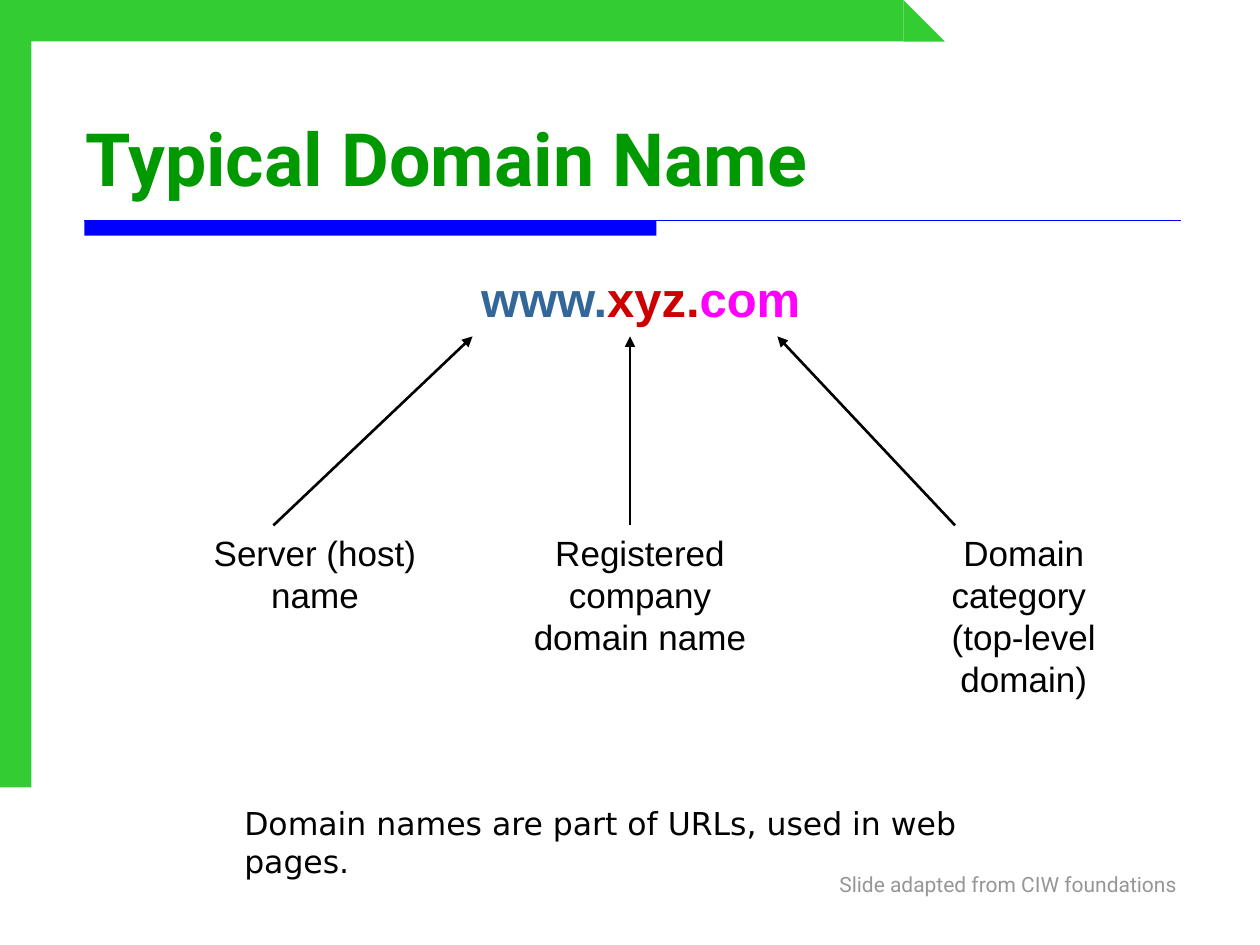
from typing import NamedTuple

from lxml import etree
from pptx import Presentation
from pptx.dml.color import RGBColor
from pptx.enum import shapes, text
from pptx.oxml import ns
from pptx.util import Inches, Pt

LIME = RGBColor(0x33, 0xCC, 0x33)
GREEN = RGBColor(0x00, 0x99, 0x00)
BLUE = RGBColor(0x00, 0x00, 0xFF)
STEEL = RGBColor(0x33, 0x66, 0x99)
RED = RGBColor(0xCC, 0x00, 0x00)
MAGENTA = RGBColor(0xFF, 0x00, 0xFF)
BLACK = RGBColor(0x00, 0x00, 0x00)
GRAY = RGBColor(0x96, 0x96, 0x96)

LABEL_TOP = 4.17
ARROW_TOP = 2.67


class Box(NamedTuple):
    left: float
    top: float
    width: float
    height: float


class Block(NamedTuple):
    preset: shapes.MSO_SHAPE
    box: Box
    color: RGBColor


class NamePart(NamedTuple):
    """One part of the domain name, its explanation and the arrow between."""
    name: str
    color: RGBColor
    label: list[str]
    label_left: float
    label_width: float
    label_height: float
    arrow_from: float
    arrow_to: float


BLOCKS = [
    Block(shapes.MSO_SHAPE.RECTANGLE, Box(0, 0, 0.25, 6.25), LIME),
    Block(shapes.MSO_SHAPE.RECTANGLE, Box(0, 0, 7.17, 0.33), LIME),
    Block(shapes.MSO_SHAPE.RIGHT_TRIANGLE, Box(7.17, 0, 0.33, 0.33), LIME),
    Block(shapes.MSO_SHAPE.RECTANGLE, Box(0.67, 1.75, 4.54, 0.12), BLUE),
]

NAME_PARTS = [
    NamePart("www.", STEEL, ["Server (host) name"], 1.5, 2, 0.77, 2.17, 3.75),
    NamePart("xyz.", RED, ["Registered company domain name"],
             4.08, 2, 1.1, 5, 5),
    NamePart("com", MAGENTA, ["Domain category ", "(top-level domain)"],
             7, 2.25, 1.44, 7.58, 6.17),
]


def inches(box: Box) -> list[int]:
    return [Inches(length) for length in box]


def set_font(font, name: str, size: float, color: RGBColor | None = None,
             bold: bool = False) -> None:
    font.name = name
    font.size = Pt(size)
    font.bold = bold
    if color is not None:
        font.color.rgb = color


def add_block(slide, block: Block) -> None:
    shape = slide.shapes.add_shape(block.preset, *inches(block.box))
    shape.shadow.inherit = False
    shape.fill.solid()
    shape.fill.fore_color.rgb = block.color
    shape.line.fill.background()


def add_line(slide, start: tuple[float, float], end: tuple[float, float],
             color: RGBColor, width: float, arrow: bool = False) -> None:
    line = slide.shapes.add_connector(
        shapes.MSO_CONNECTOR.STRAIGHT,
        *(Inches(length) for length in start + end))
    line.line.color.rgb = color
    line.line.width = Pt(width)
    if arrow:
        etree.SubElement(line.line._get_or_add_ln(), ns.qn("a:tailEnd"),
                         type="triangle")
    etree.SubElement(line._element.spPr, ns.qn("a:effectLst"))


def add_paragraph_box(slide, box: Box, align: text.PP_ALIGN):
    """Add a wrapping text box and return its frame and first paragraph."""
    frame = slide.shapes.add_textbox(*inches(box)).text_frame
    frame.word_wrap = True
    paragraph = frame.paragraphs[0]
    paragraph.alignment = align
    return frame, paragraph


def add_label(slide, part: NamePart) -> None:
    box = Box(part.label_left, LABEL_TOP, part.label_width, part.label_height)
    _, label = add_paragraph_box(slide, box, text.PP_ALIGN.CENTER)
    for index, line in enumerate(part.label):
        if index:
            label.add_line_break()
        label.add_run().text = line
    set_font(label.font, "Arial", 20, BLACK)


def add_title(slide, wording: str) -> None:
    title = slide.shapes.title
    title.left, title.top, title.width, title.height = inches(
        Box(0.58, 0.83, 9.17, 0.83))
    frame = title.text_frame
    frame.text = wording
    frame.vertical_anchor = text.MSO_ANCHOR.MIDDLE
    frame.auto_size = text.MSO_AUTO_SIZE.NONE
    heading = frame.paragraphs[0]
    heading.alignment = text.PP_ALIGN.LEFT
    set_font(heading.font, "Roboto", 42, GREEN, bold=True)


def main() -> None:
    deck = Presentation()
    deck.slide_width, deck.slide_height = Inches(10), Inches(7.5)
    slide = deck.slides.add_slide(deck.slide_layouts.get_by_name("Title Only"))

    for block in BLOCKS:
        add_block(slide, block)
    add_line(slide, (0.67, 1.75), (9.37, 1.75), BLUE, 0.75)
    add_title(slide, "Typical Domain Name")

    _, domain = add_paragraph_box(slide, Box(2, 2.08, 6.17, 0.57),
                                  text.PP_ALIGN.CENTER)
    set_font(domain.font, "Arial", 28, bold=True)
    for part in NAME_PARTS:
        run = domain.add_run()
        run.text = part.name
        run.font.color.rgb = part.color
        add_label(slide, part)
        add_line(slide, (part.arrow_from, LABEL_TOP),
                 (part.arrow_to, ARROW_TOP), BLACK, 1.5, arrow=True)

    _, remark = add_paragraph_box(slide, Box(1.84, 6.33, 6.32, 0.4),
                                  text.PP_ALIGN.LEFT)
    remark.text = "Domain names are part of URLs, used in web pages."
    set_font(remark.font, "DejaVu Sans", 18, BLACK)

    frame, credit = add_paragraph_box(slide, Box(3.42, 6.92, 5.92, 0.43),
                                      text.PP_ALIGN.RIGHT)
    frame.margin_left = frame.margin_right = 0
    frame.margin_top = frame.margin_bottom = 0
    credit.text = "Slide adapted from CIW foundations"
    set_font(credit.font, "Roboto", 12, GRAY)

    deck.save("out.pptx")


if __name__ == "__main__":
    main()
